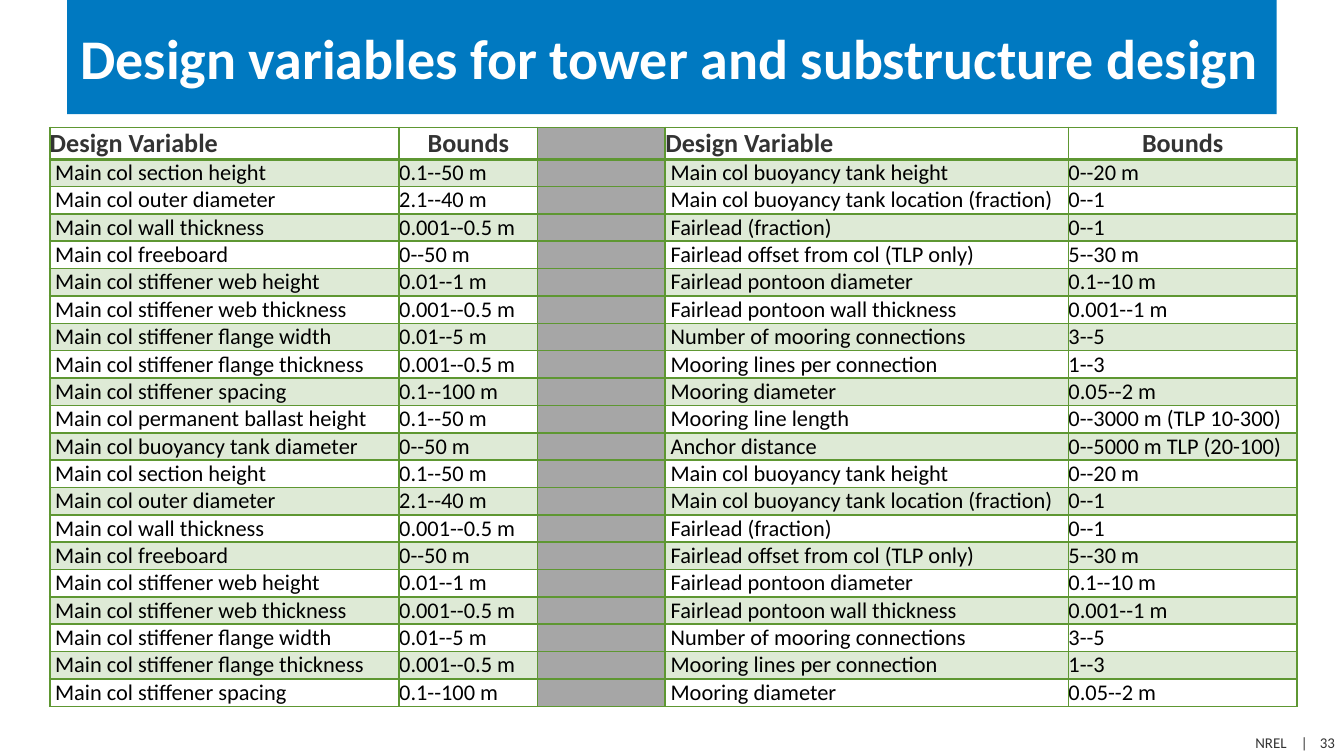
from dataclasses import dataclass
from itertools import cycle, islice
from typing import NamedTuple

from pptx import Presentation
from pptx.dml.color import RGBColor as RGB
from pptx.enum.shapes import MSO_SHAPE as Shape
from pptx.enum.text import MSO_ANCHOR as Anchor, PP_ALIGN as Align
from pptx.oxml.xmlchemy import OxmlElement as Element
from pptx.util import Inches, Pt


@dataclass(frozen=True)
class Theme:
    font: str = "Calibri"
    blue: str = "0079C1"
    green: str = "5E9732"
    gray: str = "A6A6A6"
    dark: str = "333333"
    black: str = "000000"
    white: str = "FFFFFF"
    title: int = 30
    header: int = 14
    body: int = 12
    footer: int = 8
    tint: int = 20  # opacity of the banded rows, percent
    rule: int = 1
    heavy_rule: int = 2


class Variable(NamedTuple):
    name: str
    bounds: str


class Box(NamedTuple):
    """Place and size in percent of the slide."""
    x: float
    y: float
    w: float
    h: float


T = Theme()
W = Inches(10)
H = W * 9 // 16
TITLE_BOX = Box(5, 0, 90, 15.1)
TABLE_BOX = Box(3.7, 16.85, 92.8, 76.6)
FOOTER_BOX = Box(92.9, 97.05, 6.6, 2.3)
COLUMNS = (26, 10.3, 9.5, 30, 17)  # percent of the slide's width
NAME_COLUMNS, GAP_COLUMN = (0, 3), 2
HEADER_HEIGHT, ROW_HEIGHT = 4.22, 3.62  # percent of the slide's height
BODY_ROWS = 20

COLUMN_VARIABLES = (
    Variable("Main col section height", "0.1--50 m"),
    Variable("Main col outer diameter", "2.1--40 m"),
    Variable("Main col wall thickness", "0.001--0.5 m"),
    Variable("Main col freeboard", "0--50 m"),
    Variable("Main col stiffener web height", "0.01--1 m"),
    Variable("Main col stiffener web thickness", "0.001--0.5 m"),
    Variable("Main col stiffener flange width", "0.01--5 m"),
    Variable("Main col stiffener flange thickness", "0.001--0.5 m"),
    Variable("Main col stiffener spacing", "0.1--100 m"),
    Variable("Main col permanent ballast height", "0.1--50 m"),
    Variable("Main col buoyancy tank diameter", "0--50 m"),
)
MOORING_VARIABLES = (
    Variable("Main col buoyancy tank height", "0--20 m"),
    Variable("Main col buoyancy tank location (fraction)", "0--1"),
    Variable("Fairlead (fraction)", "0--1"),
    Variable("Fairlead offset from col (TLP only)", "5--30 m"),
    Variable("Fairlead pontoon diameter", "0.1--10 m"),
    Variable("Fairlead pontoon wall thickness", "0.001--1 m"),
    Variable("Number of mooring connections", "3--5"),
    Variable("Mooring lines per connection", "1--3"),
    Variable("Mooring diameter", "0.05--2 m"),
    Variable("Mooring line length", "0--3000 m (TLP 10-300)"),
    Variable("Anchor distance", "0--5000 m TLP (20-100)"),
)


def share(percent: float, length: int) -> int:
    return round(percent * length / 100)


def place(box: Box) -> tuple[int, ...]:
    return tuple(share(v, length) for v, length in zip(box, (W, H, W, H)))


def write(tf, text: str, size: int, color: str, bold: bool = False,
          align=Align.LEFT) -> None:
    tf.text = text
    p = tf.paragraphs[0]
    p.alignment = align
    for r in p.runs:
        r.font.name, r.font.size, r.font.bold = T.font, Pt(size), bold
        r.font.color.rgb = RGB.from_string(color)


def add_border(cell, side: str, width: int) -> None:
    ln = Element(f"a:ln{side}")
    ln.set("w", str(Pt(width)))
    fill, color = Element("a:solidFill"), Element("a:srgbClr")
    color.set("val", T.green)
    fill.append(color)
    ln.append(fill)
    cell._tc.get_or_add_tcPr().append(ln)


def fill_cell(cell, color: str, opacity: int = 100) -> None:
    cell.fill.solid()
    cell.fill.fore_color.rgb = RGB.from_string(color)
    if opacity < 100:
        alpha = Element("a:alpha")
        alpha.set("val", str(opacity * 1000))
        cell._tc.tcPr.find("{*}solidFill/{*}srgbClr").append(alpha)


def draw_cell(cell, row: int, col: int, text: str) -> None:
    cell.margin_left = cell.margin_right = cell.margin_top = cell.margin_bottom = 0
    cell.vertical_anchor = Anchor.BOTTOM
    for side in "LRTB":
        heavy = (row, side) in ((0, "B"), (1, "T"))
        add_border(cell, side, T.heavy_rule if heavy else T.rule)
    # The gap column keeps a small type size so that rows stay low
    if col == GAP_COLUMN:
        fill_cell(cell, T.gray)
        end = Element("a:endParaRPr")
        end.set("sz", str(T.body * 100))
        cell.text_frame.paragraphs[0]._p.append(end)
        return
    if row % 2:
        fill_cell(cell, T.green, T.tint)
    else:
        cell.fill.background()
    if row == 0:
        align = Align.LEFT if col in NAME_COLUMNS else Align.CENTER
        write(cell.text_frame, text, T.header, T.dark, True, align)
    else:
        if col in NAME_COLUMNS:
            cell.margin_left = Inches(0.04)
        write(cell.text_frame, text, T.body, T.black)


def draw_title(s) -> None:
    sp = s.shapes.add_shape(Shape.RECTANGLE, *place(TITLE_BOX))
    sp.shadow.inherit = False
    sp.fill.solid()
    sp.fill.fore_color.rgb = RGB.from_string(T.blue)
    sp.line.fill.background()
    tf = sp.text_frame
    tf.word_wrap, tf.vertical_anchor = True, Anchor.MIDDLE
    write(tf, "Design variables for tower and substructure design",
          T.title, T.white, True)


def draw_table(s) -> None:
    heading = Variable("Design Variable", "Bounds")
    left = [heading, *islice(cycle(COLUMN_VARIABLES), BODY_ROWS)]
    right = [heading, *islice(cycle(MOORING_VARIABLES), BODY_ROWS)]
    table = s.shapes.add_table(len(left), len(COLUMNS), *place(TABLE_BOX)).table
    table.first_row = table.horz_banding = False
    for column, width in zip(table.columns, COLUMNS):
        column.width = share(width, W)
    for i, (a, b) in enumerate(zip(left, right)):
        table.rows[i].height = share(ROW_HEIGHT if i else HEADER_HEIGHT, H)
        for j, text in enumerate((*a, "", *b)):
            draw_cell(table.cell(i, j), i, j, text)


def draw_footer(s) -> None:
    tf = s.shapes.add_textbox(*place(FOOTER_BOX)).text_frame
    tf.word_wrap = True
    tf.margin_left = Inches(0.05)
    tf.margin_right = tf.margin_top = tf.margin_bottom = 0
    write(tf, "NREL\t|\t33", T.footer, T.dark)
    tabs = Element("a:tabLst")
    for position in (0.34, 0.48):
        tab = Element("a:tab")
        tab.set("pos", str(Inches(position)))
        tab.set("algn", "l")
        tabs.append(tab)
    tf.paragraphs[0]._p.get_or_add_pPr().append(tabs)


def main() -> None:
    prs = Presentation()
    prs.slide_width, prs.slide_height = W, H
    s = prs.slides.add_slide(prs.slide_layouts[6])
    draw_footer(s)
    draw_title(s)
    draw_table(s)
    prs.save("out.pptx")


if __name__ == "__main__":
    main()
